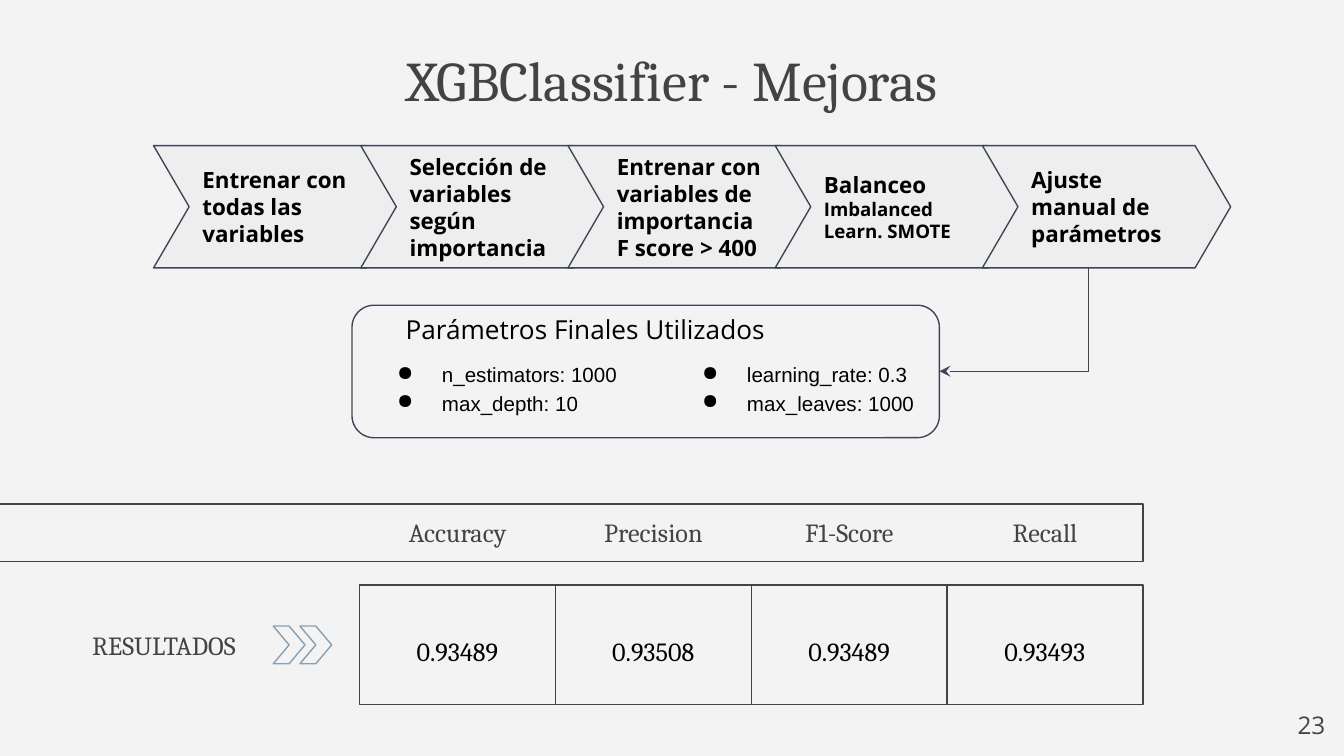
from lxml import etree
from pptx import Presentation
from pptx.dml.color import RGBColor
from pptx.enum import shapes, text
from pptx.oxml import ns
from pptx.util import Pt

INK, GREY, NAVY, STEEL = "000000", "434343", "3D4658", "869FB2"
SERIF, SANS, ARIAL = "Cambria", "Open Sans", "Arial"
SHAPE, ALIGN, ANCHOR = shapes.MSO_SHAPE, text.PP_ALIGN, text.MSO_ANCHOR

STEPS = [
    [("Entrenar con todas las variables", 12)],
    [("Selección de variables según importancia", 12)],
    [("Entrenar con variables de importancia", 12), ("F score > 400", 12)],
    [("Balanceo", 12), ("Imbalanced Learn. SMOTE", 10)],
    [("Ajuste manual de parámetros", 12)],
]
RESULTS = [("Accuracy", "0.93489"), ("Precision", "0.93508"),
           ("F1-Score", "0.93489"), ("Recall", "0.93493")]
PARAMETERS = [
    (193.7, ["n_estimators: 1000", "max_depth: 10"]),
    (357.1, ["learning_rate: 0.3", "max_leaves: 1000"]),
]


def color(hex_string):
    return RGBColor.from_string(hex_string)


def add_sub(parent, tag, **attrs):
    return etree.SubElement(parent, ns.qn(tag), attrs)


def style(sp, line, fill=None):
    """Outline a shape and fill it, or leave it hollow."""
    sp.shadow.inherit = False
    sp.line.color.rgb = color(line)
    sp.line.width = Pt(0.75)
    if fill:
        sp.fill.solid()
        sp.fill.fore_color.rgb = color(fill)
    else:
        sp.fill.background()


def write(sp, lines, font, ink=INK, bold=False, align=ALIGN.LEFT,
          anchor=ANCHOR.TOP, inset=7.2, spacing=None, bullets=False):
    """Fill a shape with (text, size) lines, one paragraph each."""
    tf = sp.text_frame
    tf.word_wrap = True
    tf.vertical_anchor = anchor
    tf.margin_left = tf.margin_right = Pt(inset)
    tf.margin_top = tf.margin_bottom = Pt(inset)
    for i, (words, size) in enumerate(lines):
        p = tf.add_paragraph() if i else tf.paragraphs[0]
        p.add_run().text = words
        p.alignment = align
        if spacing:
            p.line_spacing = spacing
        if bullets:
            pPr = p._p.get_or_add_pPr()
            pPr.set("marL", str(Pt(36)))
            pPr.set("indent", str(Pt(-24)))
            add_sub(pPr, "a:buChar", char="●")
        p.font.name = font
        p.font.size = Pt(size)
        p.font.bold = bold
        p.font.color.rgb = color(ink)


def add_text(s, x, y, w, h, lines, font, **options):
    sp = s.shapes.add_textbox(Pt(x), Pt(y), Pt(w), Pt(h))
    write(sp, lines, font, **options)


def add_box(s, kind, x, y, w, h, line, fill=None, adjust=None):
    sp = s.shapes.add_shape(kind, Pt(x), Pt(y), Pt(w), Pt(h))
    style(sp, line, fill)
    if adjust is not None:
        sp.adjustments[0] = adjust
    return sp


def add_arrowhead_outline(s, x, y, w, h):
    half, mid = x + w / 2, y + h / 2
    points = [(half, mid), (x, y + h), (half, y + h),
              (x + w, mid), (half, y)]
    builder = s.shapes.build_freeform(Pt(x), Pt(y), scale=1.0)
    builder.add_line_segments([(Pt(px), Pt(py)) for px, py in points], close=True)
    style(builder.convert_to_shape(), STEEL)


def add_corner_arrow(s, x1, y1, x2, y2):
    """Run down from the start, then left to the end."""
    run, drop = x1 - x2, y2 - y1
    left, top = (x1 + x2 - drop) / 2, (y1 + y2 - run) / 2
    cxn = s.shapes.add_connector(shapes.MSO_CONNECTOR.ELBOW, Pt(left), Pt(top),
                                 Pt(left + drop), Pt(top + run))
    cxn.line.color.rgb = color(NAVY)
    cxn.line.width = Pt(0.75)
    spPr = cxn._element.spPr
    spPr.find(ns.qn("a:xfrm")).set("rot", str(90 * 60000))
    spPr.find(ns.qn("a:prstGeom")).set("prst", "bentConnector2")
    add_sub(spPr.find(ns.qn("a:ln")), "a:tailEnd", type="stealth")
    add_sub(spPr, "a:effectLst")


def add_process(s):
    for i, lines in enumerate(STEPS):
        sp = add_box(s, SHAPE.CHEVRON, 82.3 + 111 * i, 78, 133, 65.5,
                     NAVY, "EEEEEE", 0.291)
        write(sp, lines, SANS, bold=True, anchor=ANCHOR.MIDDLE)


def add_parameters(s):
    add_text(s, 210.2, 160.6, 276, 32,
             [("Parámetros Finales Utilizados", 14)], SANS)
    for x, names in PARAMETERS:
        add_text(s, x, 185, 153.4, 43, [(name, 11) for name in names], ARIAL,
                 align=ALIGN.JUSTIFY, spacing=1.15, bullets=True)
    add_box(s, SHAPE.ROUNDED_RECTANGLE, 188.6, 163.5, 314.7, 71, NAVY,
            adjust=0.167)
    add_corner_arrow(s, 583.2, 143.8, 503.3, 198.9)


def add_results(s):
    left, step = 192.7, 104.9
    right = left + step * len(RESULTS)
    add_box(s, SHAPE.RECTANGLE, -37.4, 270, right + 37.4, 30.8, GREY)
    for i, (metric, value) in enumerate(RESULTS):
        x = left + step * i
        add_box(s, SHAPE.RECTANGLE, x, 313.5, step, 64, GREY)
        add_text(s, x - 1.9, 276, 108.7, 39.6, [(metric, 14)], SERIF, ink=GREY,
                 align=ALIGN.CENTER, inset=0.5)
        add_text(s, x + 1.6, 315.4, 101.5, 64, [(value, 14)], SERIF,
                 align=ALIGN.CENTER, anchor=ANCHOR.MIDDLE, inset=0.5,
                 spacing=1.15)
    add_text(s, 42.3, 330, 115, 32, [("RESULTADOS", 14)], SERIF, ink=GREY)
    for x in (146.4, 160.7):
        add_arrowhead_outline(s, x, 335.4, 17, 20.2)


def main():
    prs = Presentation()
    prs.slide_width, prs.slide_height = Pt(720), Pt(405)
    s = prs.slides.add_slide(prs.slide_layouts[6])
    s.background.fill.solid()
    s.background.fill.fore_color.rgb = color("F3F3F3")

    # Slide number and title
    add_text(s, 674, 373.5, 43, 31, [("23", 13)], SANS, ink=GREY,
             align=ALIGN.RIGHT)
    add_text(s, 0, 13.2, 720, 58.3, [("XGBClassifier - Mejoras", 30)], SERIF,
             ink=GREY, align=ALIGN.CENTER, anchor=ANCHOR.MIDDLE)

    # Content, from top to bottom
    add_process(s)
    add_parameters(s)
    add_results(s)
    prs.save("out.pptx")


if __name__ == "__main__":
    main()
